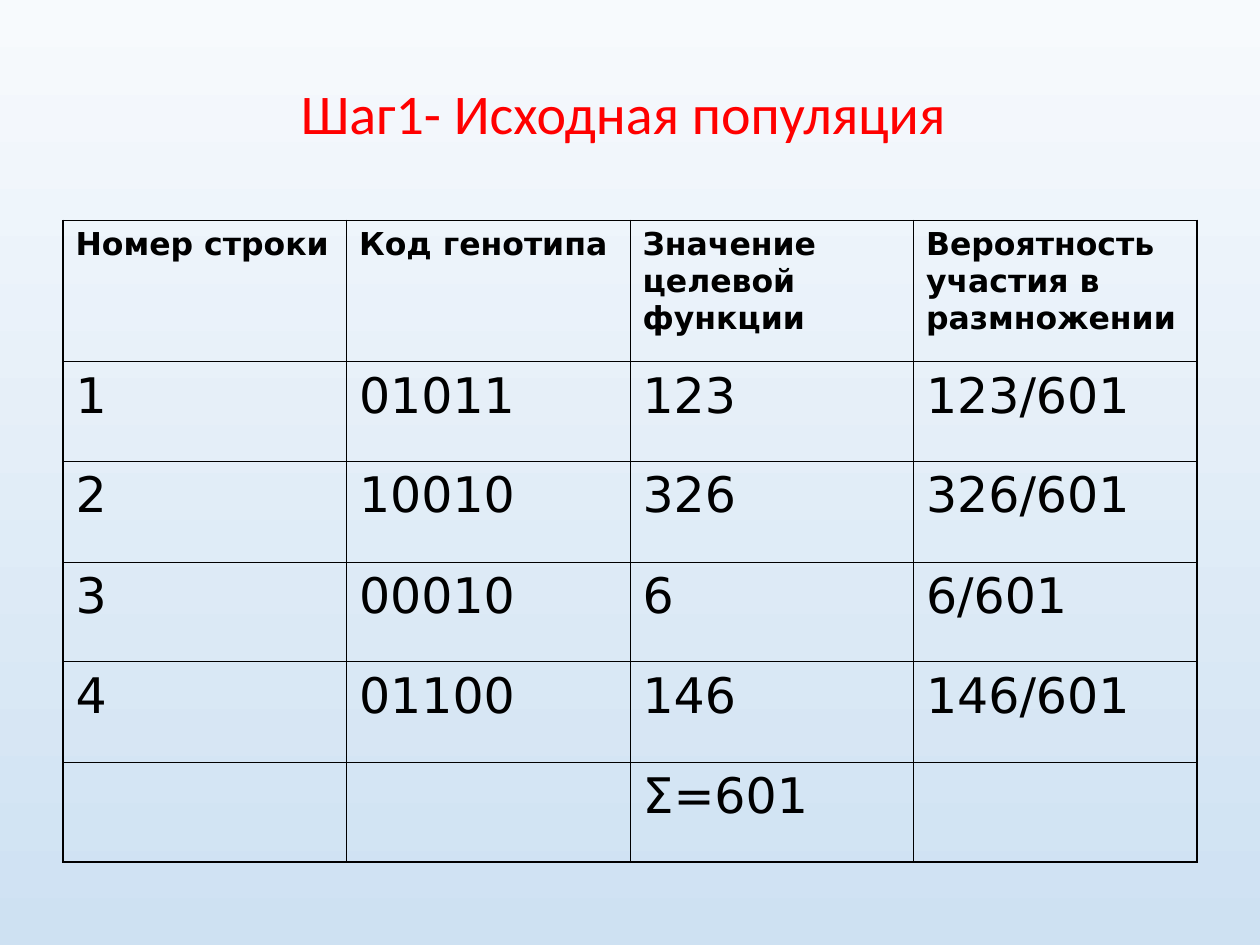
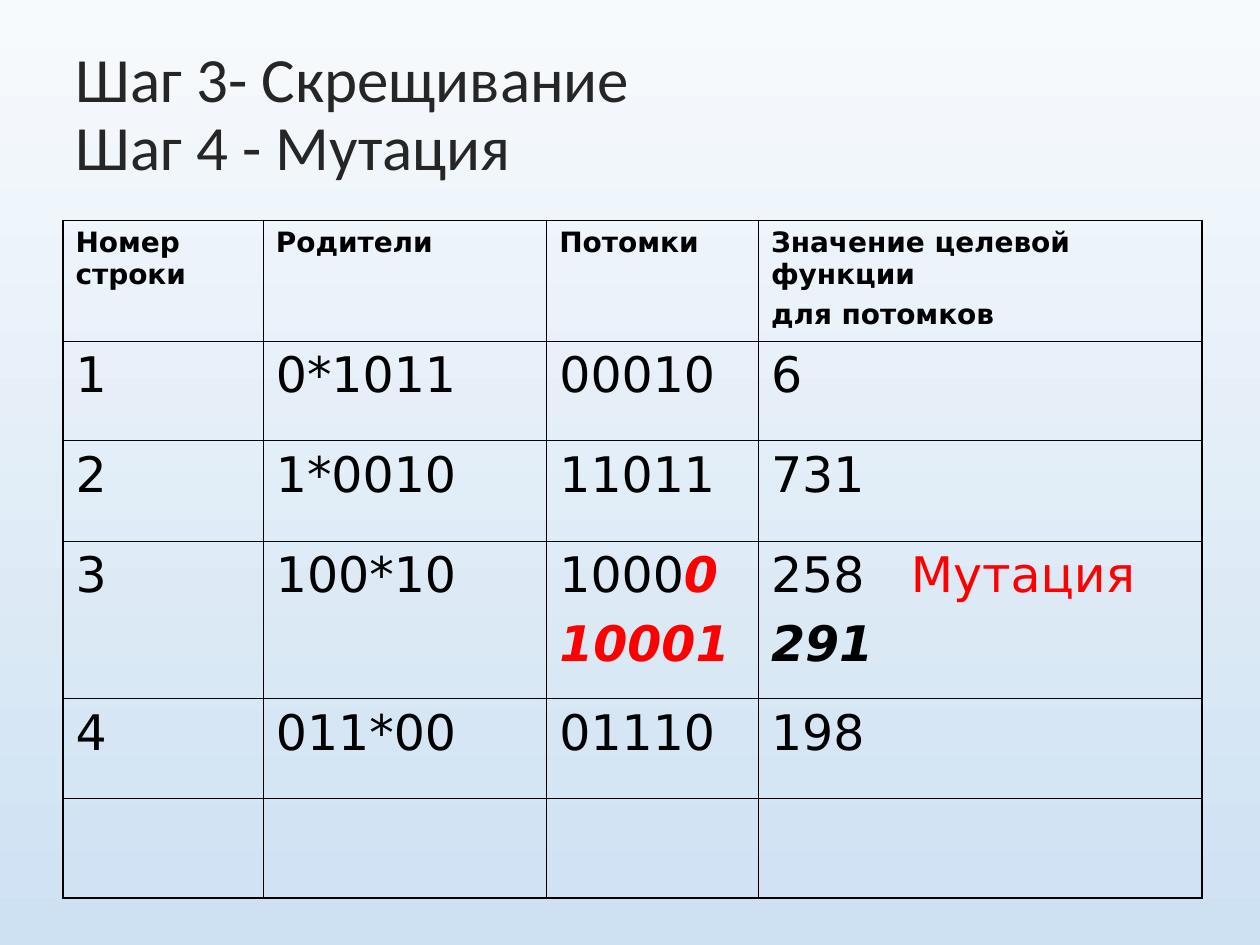
from lxml.etree import SubElement
from pptx import Presentation
from pptx.dml.color import RGBColor
from pptx.enum.text import MSO_ANCHOR, PP_ALIGN
from pptx.oxml.ns import qn
from pptx.util import Inches, Pt

RED = RGBColor(0xFF, 0x00, 0x00)
BLACK = RGBColor(0x00, 0x00, 0x00)
DARK = RGBColor(0x26, 0x26, 0x26)
BG_TOP = RGBColor(0xF7, 0xFA, 0xFD)
BG_BOTTOM = RGBColor(0xCE, 0xE1, 0xF2)
TITLE_FONT, TABLE_FONT = "Calibri", "DejaVu Sans"
BODY_SIZE = 28
OUTER, INNER = 1.08, 0.45
MUTATION_TAB = 1.11

# A cell is a string or a list of paragraphs; a paragraph is a list of
# (text, colour, emphasised) runs.
MUTATED_CODE = [[("1000", BLACK, False), ("0", RED, True)],
                [("10001", RED, True)]]
MUTATED_VALUE = [[("258\t", BLACK, False), ("Мутация", RED, False)],
                 [("291", BLACK, True)]]
OFFSPRING_HEADER = [[("Значение целевой функции", BLACK, False)],
                    [("для потомков", BLACK, False)]]

SLIDES = [
    {
        "title": "Шаг1- Исходная популяция ",
        "title_style": (32, RED, PP_ALIGN.CENTER),
        "header_size": 18,
        "cols": [2.25] * 4,
        "heights": [1.12, 0.79, 0.8, 0.79, 0.8, 0.79],
        "rows": [
            ["Номер строки", "Код генотипа", "Значение целевой функции",
             "Вероятность участия в размножении"],
            ["1", "01011", "123", "123/601"],
            ["2", "10010", "326", "326/601"],
            ["3", "00010", "6", "6/601"],
            ["4", "01100", "146", "146/601"],
            ["", "", "Σ=601", ""],
        ],
    },
    {
        "title": "Шаг 3- Скрещивание \vШаг 4 - Мутация",
        "title_style": (36, DARK, PP_ALIGN.LEFT),
        "header_size": 16,
        "cols": [1.59, 2.25, 1.68, 3.52],
        "heights": [0.92, 0.79, 0.8, 1.25, 0.79, 0.79],
        "rows": [
            ["Номер строки", "Родители", "Потомки", OFFSPRING_HEADER],
            ["1", "0*1011", "00010", "6"],
            ["2", "1*0010", "11011", "731"],
            ["3", "100*10", MUTATED_CODE, MUTATED_VALUE],
            ["4", "011*00", "01110", "198"],
            ["", "", "", ""],
        ],
    },
]


def set_background(s):
    fill = s.background.fill
    fill.gradient()
    fill.gradient_angle = 270
    for stop, position, color in zip(fill.gradient_stops, (0, 1), (BG_TOP, BG_BOTTOM)):
        stop.position = position
        stop.color.rgb = color


def add_title(s, text, size, color, align):
    tf = s.shapes.add_textbox(Inches(0.5), Inches(0.3), Inches(9), Inches(1.25)).text_frame
    tf.word_wrap = True
    tf.vertical_anchor = MSO_ANCHOR.MIDDLE
    p = tf.paragraphs[0]
    p.text = text
    p.alignment = align
    p.line_spacing = 0.9
    p.font.name, p.font.size = TITLE_FONT, Pt(size)
    p.font.color.rgb = color


def set_borders(cell, widths):
    """Draw black borders; widths are points for left, right, top, bottom."""
    tcPr = cell._tc.get_or_add_tcPr()
    for side, width in zip("LRTB", widths):
        ln = SubElement(tcPr, qn(f"a:ln{side}"), w=str(Pt(width)))
        fill = SubElement(ln, qn("a:solidFill"))
        SubElement(fill, qn("a:srgbClr"), val=str(BLACK))


def add_tab_stop(p, position):
    tabs = SubElement(p._p.get_or_add_pPr(), qn("a:tabLst"))
    SubElement(tabs, qn("a:tab"), pos=str(Inches(position)), algn="l")


def write_cell(cell, content, size, bold):
    if not content:
        return
    paragraphs = [[(content, BLACK, False)]] if isinstance(content, str) else content
    tf = cell.text_frame
    for i, runs in enumerate(paragraphs):
        p = tf.add_paragraph() if i else tf.paragraphs[0]
        if any("\t" in text for text, _, _ in runs):
            add_tab_stop(p, MUTATION_TAB)
        if i:
            p.space_before = Pt(size / 4)
        p.font.name, p.font.size, p.font.bold = TABLE_FONT, Pt(size), bold
        for text, color, emphasised in runs:
            r = p.add_run()
            r.text = text
            r.font.color.rgb = color
            if emphasised:
                r.font.bold = r.font.italic = True


def add_grid(s, rows, cols, heights, header_size):
    n_rows, n_cols = len(rows), len(cols)
    table = s.shapes.add_table(n_rows, n_cols, Inches(0.5), Inches(1.75),
                               Inches(sum(cols)), Inches(sum(heights))).table
    table.first_row = table.horz_banding = False
    for column, width in zip(table.columns, cols):
        column.width = Inches(width)
    for i, (row, height) in enumerate(zip(rows, heights)):
        table.rows[i].height = Inches(height)
        for j, content in enumerate(row):
            cell = table.cell(i, j)
            on_edge = (j == 0, j == n_cols - 1, i == 0, i == n_rows - 1)
            set_borders(cell, [OUTER if edge else INNER for edge in on_edge])
            cell.fill.background()
            write_cell(cell, content, BODY_SIZE if i else header_size, bold=i == 0)


def main():
    prs = Presentation()
    prs.slide_width, prs.slide_height = Inches(10), Inches(7.5)
    for step in SLIDES:
        s = prs.slides.add_slide(prs.slide_layouts[6])
        set_background(s)
        add_title(s, step["title"], *step["title_style"])
        add_grid(s, step["rows"], step["cols"], step["heights"], step["header_size"])
    prs.save("out.pptx")


if __name__ == "__main__":
    main()
